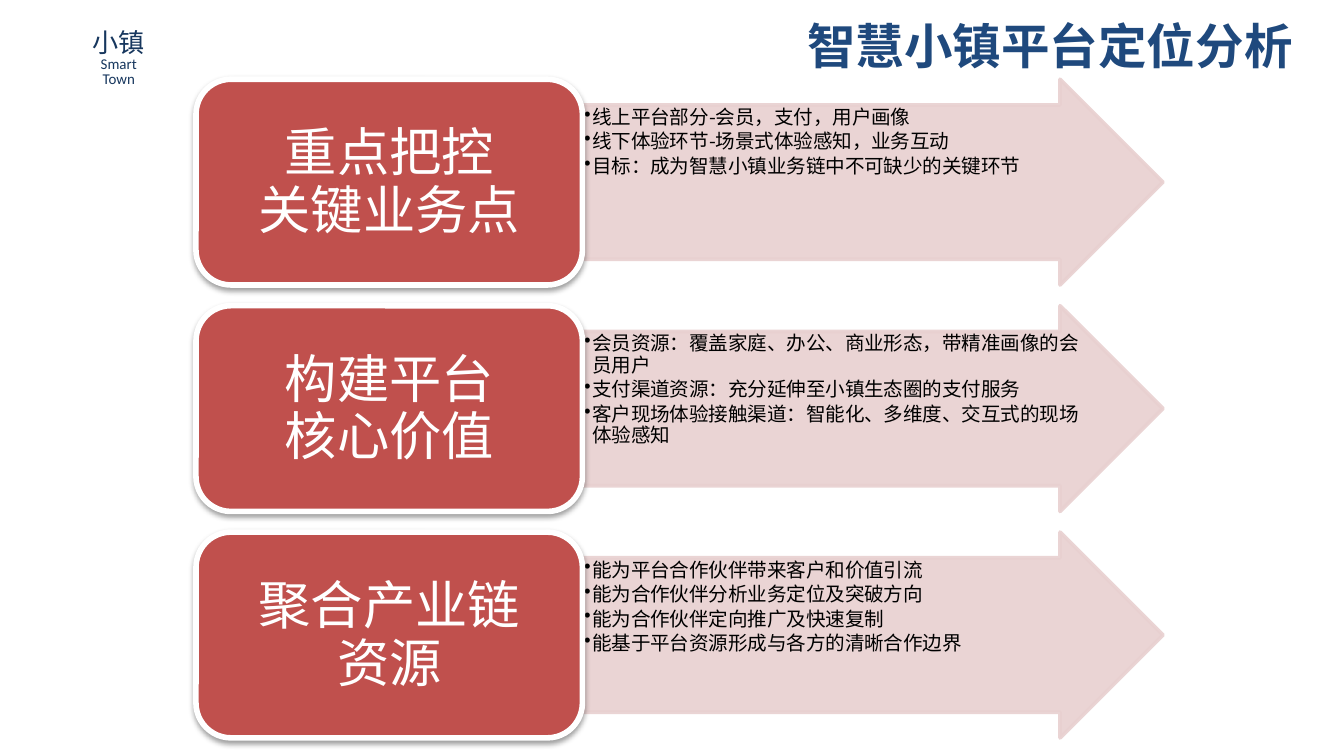
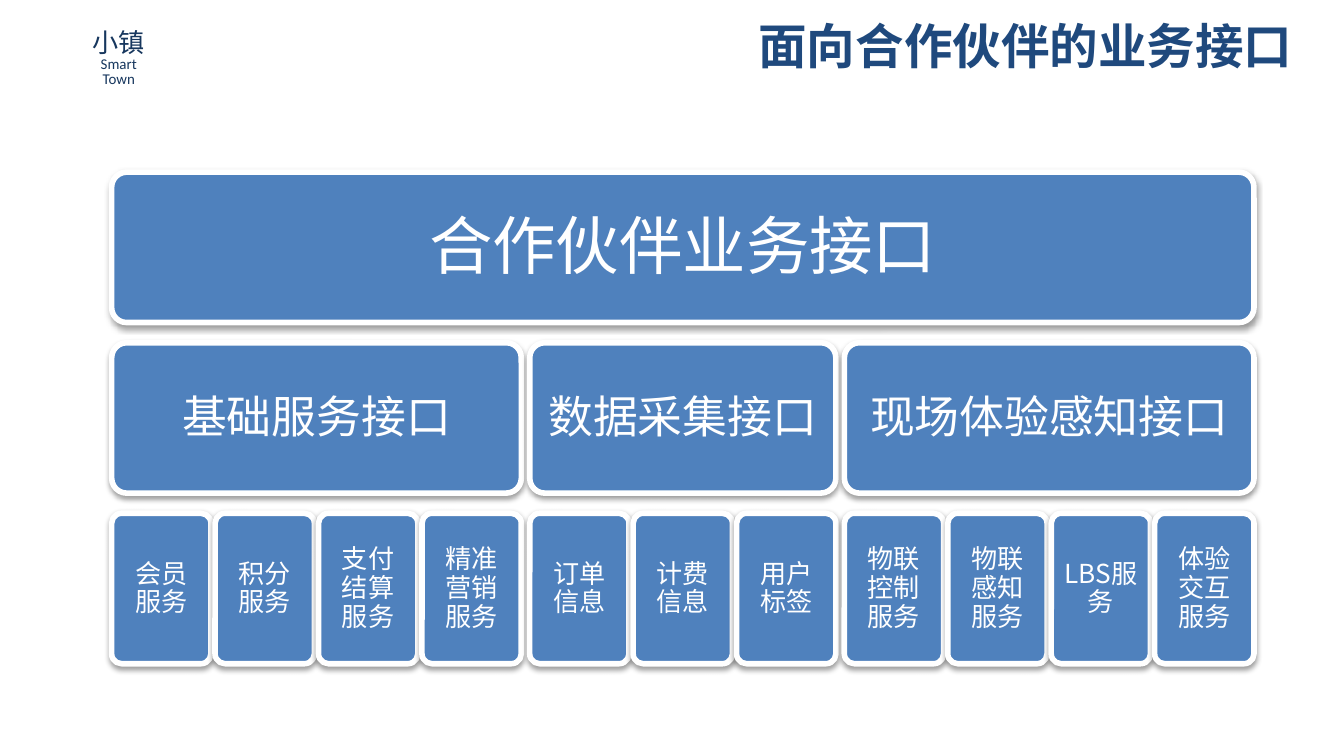
"""Build two slides on the smart town platform: positioning and partner interfaces."""
from lxml import etree
from pptx import Presentation
from pptx import util as u
from pptx.dml import color
from pptx.enum import shapes, text
from pptx.oxml import ns

CJK_FONT, LATIN_FONT = "Noto Sans CJK SC", "Calibri"
NAVY, TITLE_BLUE, RED, PINK = "17375E", "1F497D", "C0504D", "E8D0D0"
BLUE, WHITE, BLACK = "4F81BD", "FFFFFF", "000000"
LINE_FACTOR, TIGHT_FACTOR = 1.22, 1.1

POSITIONS = [
    ("重点把控\n关键业务点", [
        "线上平台部分-会员，支付，用户画像",
        "线下体验环节-场景式体验感知，业务互动",
        "目标：成为智慧小镇业务链中不可缺少的关键环节"]),
    ("构建平台\n核心价值", [
        "会员资源：覆盖家庭、办公、商业形态，带精准画像的会员用户",
        "支付渠道资源：充分延伸至小镇生态圈的支付服务",
        "客户现场体验接触渠道：智能化、多维度、交互式的现场体验感知"]),
    ("聚合产业链\n资源", [
        "能为平台合作伙伴带来客户和价值引流",
        "能为合作伙伴分析业务定位及突破方向",
        "能为合作伙伴定向推广及快速复制",
        "能基于平台资源形成与各方的清晰合作边界"]),
]
INTERFACES = [
    ("基础服务接口", ["会员服务", "积分服务", "支付结算服务", "精准营销服务"]),
    ("数据采集接口", ["订单信息", "计费信息", "用户标签"]),
    ("现场体验感知接口", ["物联控制服务", "物联感知服务", "LBS服务", "体验交互服务"]),
]


def rgb(value):
    """Turn a hex string into a colour."""
    return color.RGBColor.from_string(value)


def add_child(parent, tag, **attributes):
    """Append a DrawingML element and return it."""
    child = etree.SubElement(parent, ns.qn(tag))
    for name, value in attributes.items():
        child.set(name, str(value))
    return child


def write(paragraph, content, size, ink, align, spacing, font=CJK_FONT, bold=False):
    """Fill a paragraph run by run, with a break at each new line."""
    paragraph.alignment = align
    paragraph.line_spacing = u.Pt(spacing)
    for index, line in enumerate(content.split("\n")):
        if index:
            paragraph.add_line_break()
        run = paragraph.add_run()
        run.text = line
        run.font.size = u.Pt(size)
        run.font.bold = bold
        run.font.color.rgb = rgb(ink)
        run.font.name = font
        add_child(run.font._element, "a:ea", typeface=font)


def set_frame(shape, inset_x, inset_y, anchor):
    """Set wrapping, insets and anchor, and return the text frame."""
    frame = shape.text_frame
    frame.word_wrap = True
    frame.margin_left = frame.margin_right = u.Pt(inset_x)
    frame.margin_top = frame.margin_bottom = u.Pt(inset_y)
    frame.vertical_anchor = anchor
    return frame


def add_text_box(slide, left, top, width, height):
    """Add an empty text box and return its frame."""
    box = slide.shapes.add_textbox(u.Pt(left), u.Pt(top), u.Pt(width), u.Pt(height))
    return set_frame(box, 7.2, 3.6, text.MSO_ANCHOR.TOP)


def add_filled(slide, kind, left, top, width, height, fill, line, line_width):
    """Add a preset shape with a plain fill and outline."""
    shape = slide.shapes.add_shape(kind, u.Pt(left), u.Pt(top), u.Pt(width), u.Pt(height))
    shape.shadow.inherit = False
    shape.fill.solid()
    shape.fill.fore_color.rgb = rgb(fill)
    shape.line.color.rgb = rgb(line)
    shape.line.width = u.Pt(line_width)
    return shape


def add_card(slide, left, top, width, height, label, size, fill, corner, insets):
    """Add a rounded card with a white rim, a soft shadow and a centred label."""
    shape = add_filled(slide, shapes.MSO_SHAPE.ROUNDED_RECTANGLE,
                       left, top, width, height, fill, WHITE, 3)
    shape.adjustments[0] = corner
    effects = shape._element.spPr.find(ns.qn("a:effectLst"))
    shadow = add_child(effects, "a:outerShdw", blurRad=u.Pt(3.1), dist=u.Pt(1.6),
                       dir=5400000, rotWithShape=0)
    add_child(add_child(shadow, "a:srgbClr", val=BLACK), "a:alpha", val=38000)
    frame = set_frame(shape, *insets, text.MSO_ANCHOR.MIDDLE)
    write(frame.paragraphs[0], label, size, WHITE, text.PP_ALIGN.CENTER, size * TIGHT_FACTOR)


def add_bullet_arrow(slide, left, top, width, height, points):
    """Add a translucent arrow that holds a bullet list."""
    shape = add_filled(slide, shapes.MSO_SHAPE.RIGHT_ARROW,
                       left, top, width, height, PINK, PINK, 2)
    shape.adjustments[0], shape.adjustments[1] = 0.75, 0.5
    for tint in shape._element.spPr.iter(ns.qn("a:srgbClr")):
        add_child(tint, "a:alpha", val=90000)
    frame = set_frame(shape, 0.9, 0.9, text.MSO_ANCHOR.TOP)
    for index, point in enumerate(points):
        paragraph = frame.add_paragraph() if index else frame.paragraphs[0]
        paragraph.level = 1
        properties = paragraph._p.get_or_add_pPr()
        properties.set("marL", str(u.Pt(4.3)))
        properties.set("indent", str(u.Pt(-4.3)))
        add_child(properties, "a:buChar", char="•")
        paragraph.space_after = u.Pt(1.6)
        write(paragraph, point, 10.5, BLACK, text.PP_ALIGN.LEFT, 10.5 * TIGHT_FACTOR)


def add_page(presentation, title):
    """Add a blank slide with the town mark and the title."""
    slide = presentation.slides.add_slide(presentation.slide_layouts[6])
    mark = add_text_box(slide, 41, 10.1, 45.4, 40.3)
    center = text.PP_ALIGN.CENTER
    write(mark.paragraphs[0], "小镇", 14, NAVY, center, 14 * LINE_FACTOR)
    write(mark.add_paragraph(), "Smart\nTown", 8, NAVY, center, 8, LATIN_FONT)
    heading = add_text_box(slide, 223.9, 4.3, 475.9, 38.9)
    write(heading.paragraphs[0], title, 26, TITLE_BLUE, text.PP_ALIGN.RIGHT,
          26 * LINE_FACTOR, bold=True)
    return slide


def add_positioning(presentation):
    """Build the slide with three goals and their arrows."""
    slide = add_page(presentation, "智慧小镇平台定位分析")
    left, width, height, pitch = 105, 207, 110.2, 121.3
    for index, (goal, points) in enumerate(POSITIONS):
        top = 42.5 + index * pitch
        add_bullet_arrow(slide, left + width, top, 311, height, points)
        add_card(slide, left, top, width, height, goal, 28, RED, 0.17, (8.6, 4.3))


def add_interfaces(presentation):
    """Build the slide with the three-level interface hierarchy."""
    slide = add_page(presentation, "面向合作伙伴的业务接口")
    left, total, height = 59.8, 612, 80.6
    gap, group_gap = 2.2, 4.5
    tops = [92.2 + row * 91.4 for row in range(3)]
    count = sum(len(services) for _, services in INTERFACES)
    groups = len(INTERFACES)
    cell = (total - (count - groups) * gap - (groups - 1) * group_gap) / count
    add_card(slide, left, tops[0], total, height, "合作伙伴业务接口", 34, BLUE, 0.1, (10, 10))
    for name, services in INTERFACES:
        width = len(services) * (cell + gap) - gap
        add_card(slide, left, tops[1], width, height, name, 24, BLUE, 0.1, (7.2, 7.2))
        for index, service in enumerate(services):
            add_card(slide, left + index * (cell + gap), tops[2], cell, height,
                     service, 14, BLUE, 0.1, (4.3, 4.3))
        left += width + group_gap


def main():
    """Create the presentation and save it."""
    presentation = Presentation()
    presentation.slide_width, presentation.slide_height = u.Pt(720), u.Pt(405)
    add_positioning(presentation)
    add_interfaces(presentation)
    presentation.save("out.pptx")


if __name__ == "__main__":
    main()
